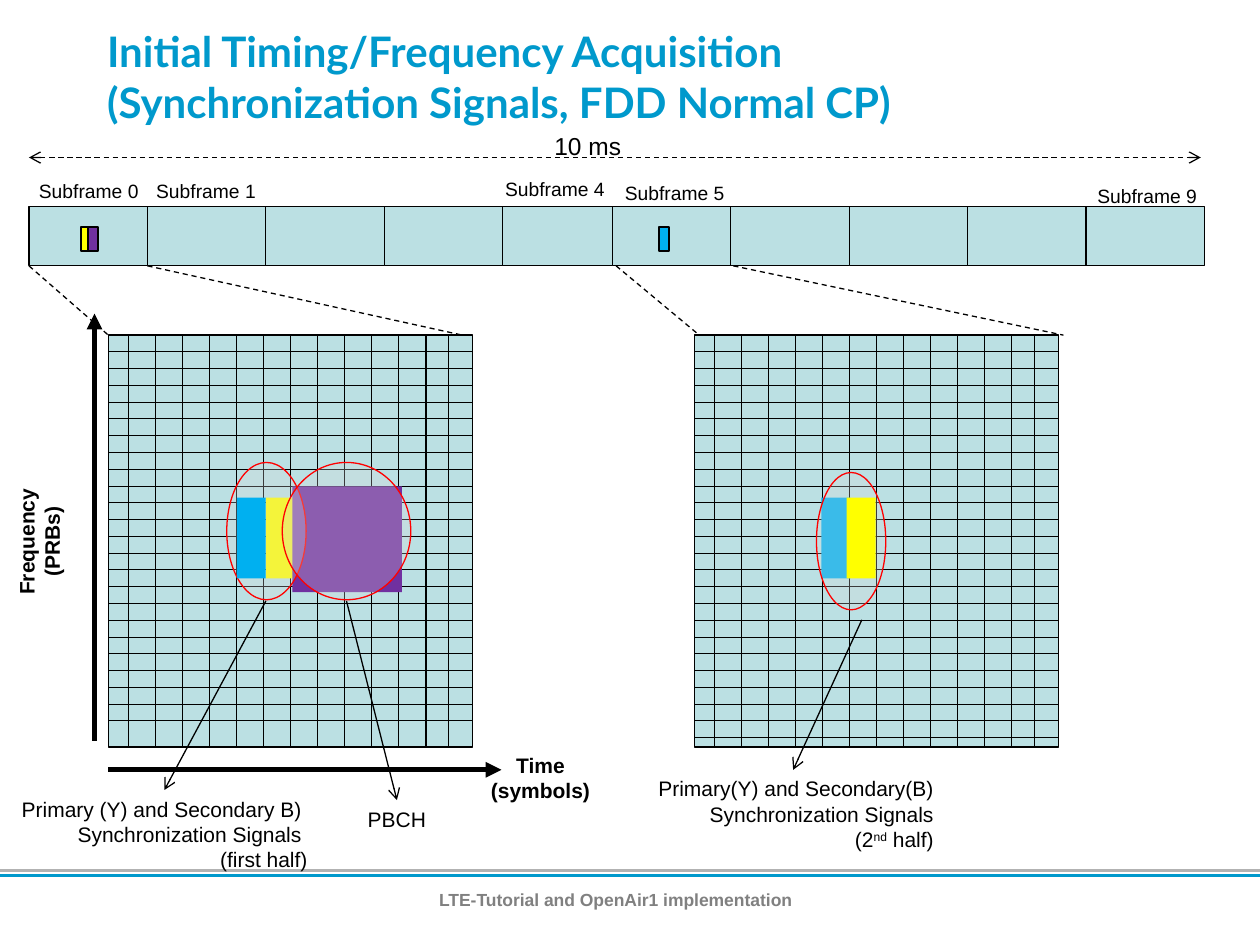
from lxml.etree import SubElement
from pptx import Presentation
from pptx.dml.color import RGBColor
from pptx.enum.dml import MSO_LINE
from pptx.enum.shapes import MSO_CONNECTOR, MSO_SHAPE
from pptx.enum.text import MSO_ANCHOR, MSO_AUTO_SIZE, PP_ALIGN
from pptx.oxml.ns import qn
from pptx.util import Inches, Pt

COLORS = {
    "black": "000000", "title": "0099CC", "rule": "B2B2B2", "footer": "808080",
    "frame": "BBE0E3", "yellow": "FFFF00", "blue": "00B0F0", "purple": "7030A0",
    "red": "FF0000", "highlight": "D9D9D9",
}


def color(name):
    return RGBColor.from_string(COLORS[name])


class SlideBuilder:
    font_name = "Arial"

    def __init__(self, slide):
        self.slide = slide

    def style(self, font, ink="black", **values):
        for name, value in {"name": self.font_name, "bold": False, **values}.items():
            setattr(font, name, value)
        font.color.rgb = color(ink)

    def title(self, words, left, top, width, height):
        heading = self.slide.shapes.title
        place = {"left": left, "top": top, "width": width, "height": height}
        for name, value in place.items():
            setattr(heading, name, Inches(value))
        frame = heading.text_frame
        frame.text = words
        layout = {"auto_size": MSO_AUTO_SIZE.NONE, "word_wrap": True,
                  "vertical_anchor": MSO_ANCHOR.MIDDLE}
        for name, value in layout.items():
            setattr(frame, name, value)
        frame.paragraphs[0].alignment = PP_ALIGN.LEFT
        for run in frame.paragraphs[0].runs:
            self.style(run.font, "title", name="Lato", size=Pt(24), bold=True)

    def text(self, lines, left, top, width, height, size=12, align=PP_ALIGN.CENTER,
             wrap=False, rotation=0, grow=True, **font):
        box = self.slide.shapes.add_textbox(
            Inches(left), Inches(top), Inches(width), Inches(height))
        box.rotation = rotation
        frame = box.text_frame
        frame.word_wrap = wrap
        frame.auto_size = MSO_AUTO_SIZE.SHAPE_TO_FIT_TEXT if grow else MSO_AUTO_SIZE.NONE
        for number, line in enumerate(lines):
            paragraph = frame.add_paragraph() if number else frame.paragraphs[0]
            paragraph.alignment = align
            for part, words in enumerate(line.split("^")):
                run = paragraph.add_run()
                run.text = words
                self.style(run.font, size=Pt(size), **font)
                if part % 2:
                    run.font._element.set("baseline", "30000")
        return box

    def shape(self, kind, fill, left, top, width, height, outline=None, weight=0.75,
              opacity=None):
        item = self.slide.shapes.add_shape(
            kind, Inches(left), Inches(top), Inches(width), Inches(height))
        item.shadow.inherit = False
        item.fill.solid()
        item.fill.fore_color.rgb = color(fill)
        if opacity:
            tint = item.fill._xPr.find(qn("a:solidFill"))[0]
            SubElement(tint, qn("a:alpha"), val=str(opacity * 1000))
        if outline:
            item.line.color.rgb = color(outline)
            item.line.width = Pt(weight)
        else:
            item.line.fill.background()

    def box(self, *args, **options):
        self.shape(MSO_SHAPE.RECTANGLE, *args, **options)

    def ring(self, left, top, width, height):
        self.shape(MSO_SHAPE.OVAL, "highlight", left, top, width, height,
                   outline="red", opacity=27)

    def line(self, x1, y1, x2, y2, ink="black", weight=0.75, dashed=False,
             head=None, tail=None, target=None):
        link = self.slide.shapes.add_connector(
            MSO_CONNECTOR.STRAIGHT, Inches(x1), Inches(y1), Inches(x2), Inches(y2))
        if target is not None:
            link.end_connect(target, 0)
        link.line.color.rgb = color(ink)
        link.line.width = Pt(weight)
        if dashed:
            link.line.dash_style = MSO_LINE.DASH
        for tag, arrow in (("a:headEnd", head), ("a:tailEnd", tail)):
            if arrow:
                SubElement(link.line._get_or_add_ln(), qn(tag), type=arrow)
        SubElement(link._element.spPr, qn("a:effectLst"))

    def resource_grid(self, left, rows):
        top, width, height = 2.66, 2.89, 3.27
        self.box("frame", left, top, width, height, outline="black")
        row_pitch = (5.72 - 2.79) / 22
        for row in range(rows):
            y = 2.79 + row * row_pitch
            self.line(left, y, left + width, y, weight=0.25)
        symbol_pitch = (3.38 - 1.02) / 11
        offsets = [0.16 + symbol * symbol_pitch for symbol in range(12)] + [2.7]
        for offset in offsets:
            self.line(left + offset, top, left + offset, top + height)


def main():
    presentation = Presentation()
    presentation.slide_width, presentation.slide_height = Inches(10), Inches(7.5)
    builder = SlideBuilder(presentation.slides.add_slide(presentation.slide_layouts[5]))

    builder.line(0, 6.91, 10, 6.91, "rule", 1.5)
    builder.line(0, 6.95, 10, 6.95, "title", 1.5)
    builder.title("Initial Timing/Frequency Acquisition \v"
                  "(Synchronization Signals, FDD Normal CP)", 0.75, 0.13, 8.98, 0.95)
    builder.text(["LTE-Tutorial and OpenAir1 implementation"], 2.11, 7.01, 5.55, 0.49,
                 size=10, wrap=True, grow=False, ink="footer", bold=True)

    for half_frame in (0.23, 4.86):
        for subframe in range(5):
            builder.box("frame", half_frame + subframe * 0.94, 1.64, 0.94, 0.47,
                        outline="black")
    for number, left, top in ((0, 0.21, 1.37), (1, 1.14, 1.37), (4, 3.91, 1.36),
                              (5, 4.86, 1.39), (9, 8.61, 1.41)):
        builder.text([f"Subframe {number}"], left, top, 0.99, 0.29, size=11)
    for signal, left in (("yellow", 0.64), ("blue", 5.23), ("purple", 0.7)):
        builder.box(signal, left, 1.8, 0.08, 0.19, outline="black", weight=1)

    for strip_x, grid_x in ((0.23, 0.86), (1.17, 3.67), (4.89, 5.55), (5.82, 8.44)):
        builder.line(strip_x, 2.11, grid_x, 2.66, dashed=True)

    builder.resource_grid(0.86, 23)
    builder.line(0.86, 6.11, 3.98, 6.11, weight=3, tail="triangle")
    builder.box("yellow", 2.11, 3.95, 0.23, 0.64)
    builder.box("purple", 2.32, 3.86, 0.87, 0.84)
    builder.resource_grid(5.51, 24)
    builder.box("blue", 6.52, 3.95, 0.23, 0.64)

    builder.ring(1.8, 3.67, 0.63, 1.09)
    builder.ring(2.24, 3.67, 1.02, 1.09)
    builder.ring(6.48, 3.75, 0.55, 1.09)
    callouts = (
        (["Primary (Y) and Secondary B) ", "Synchronization Signals ", "(first half)"],
         (0.07, 6.27, 2.47, 0.7), (2.11, 4.77)),
        (["PBCH"], (2.82, 6.35, 0.66, 0.3), (2.75, 4.77)),
        (["Primary(Y) and Secondary(B)", "Synchronization Signals", "(2^nd^ half)"],
         (5.08, 6.11, 2.43, 0.7), (6.84, 4.92)),
    )
    for lines, place, start in callouts:
        label = builder.text(lines, *place, align=PP_ALIGN.RIGHT)
        builder.line(*start, *start, tail="arrow", target=label)

    builder.line(0.23, 1.25, 9.53, 1.25, dashed=True, head="arrow", tail="arrow")
    builder.text(["10 ms"], 4.3, 0.99, 0.73, 0.34, size=14)
    builder.box("yellow", 6.72, 3.95, 0.23, 0.64)
    builder.box("blue", 1.88, 3.95, 0.23, 0.64)
    builder.line(0.75, 5.88, 0.75, 2.49, weight=3, tail="triangle")
    builder.text(["Frequency", "(PRBs)"], -1.58, 4.05, 3.78, 0.5, wrap=True,
                 rotation=270, bold=True)
    builder.text(["Time", "(symbols)"], 3.66, 5.92, 1.26, 0.5, wrap=True, bold=True)

    presentation.save("out.pptx")


if __name__ == "__main__":
    main()
